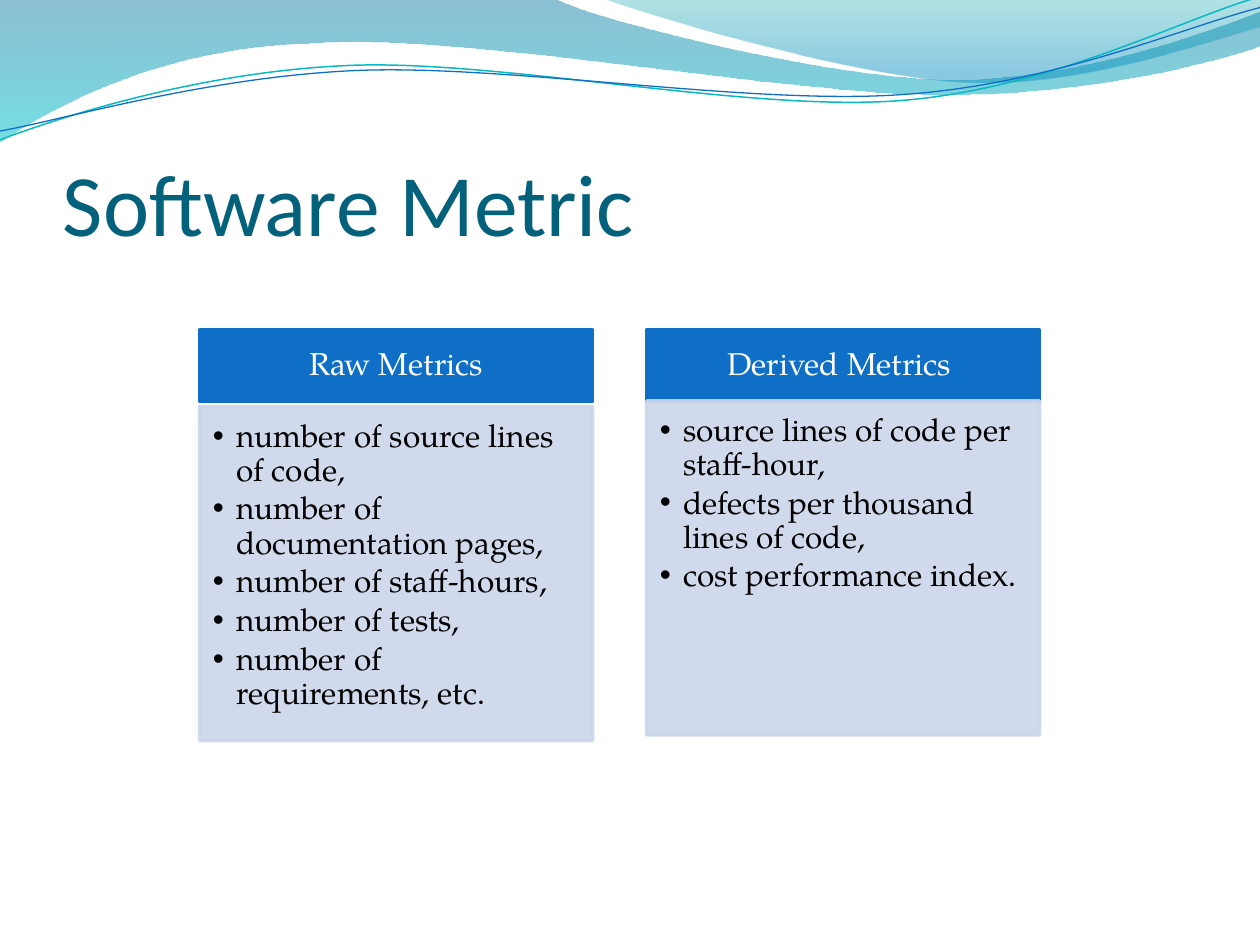
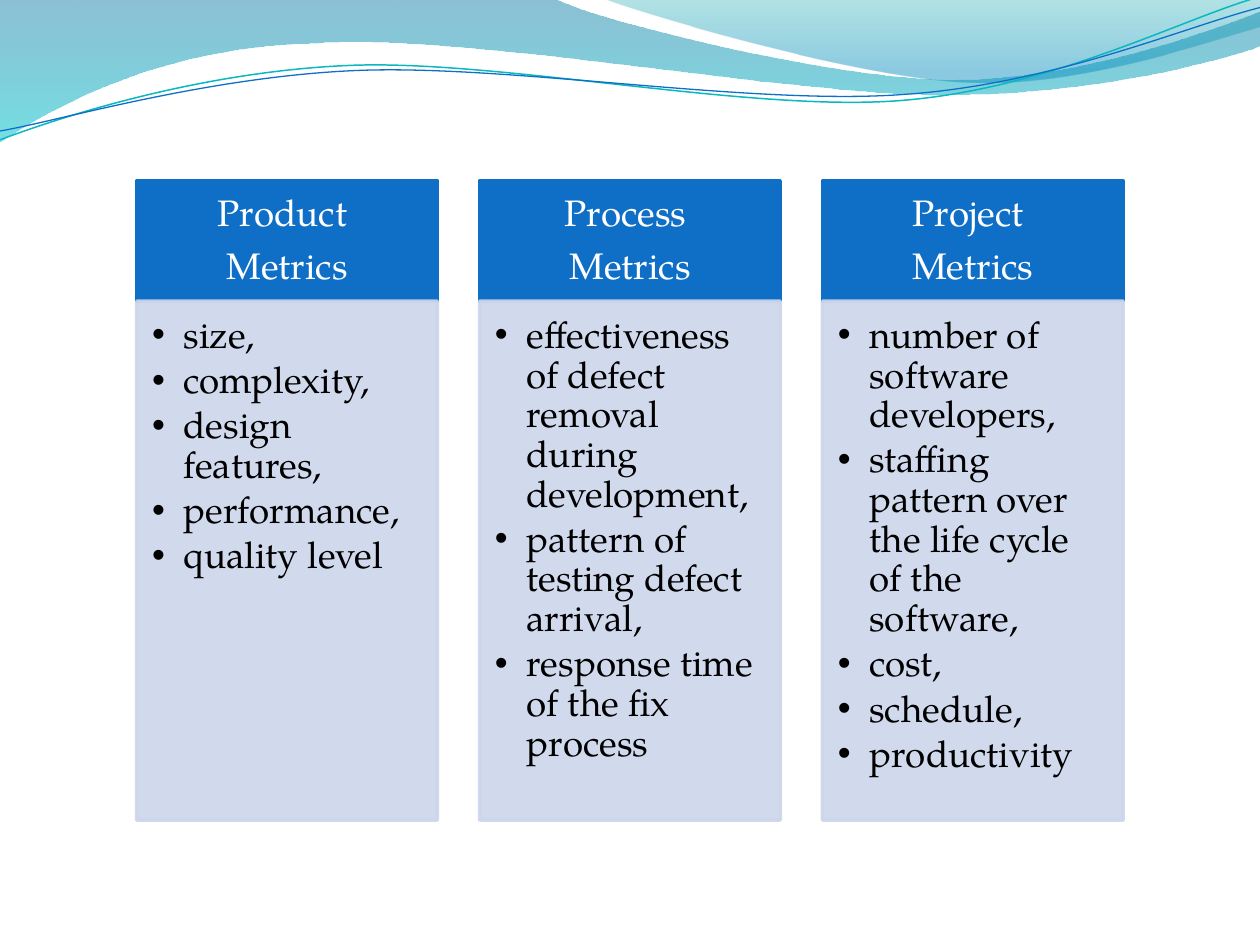
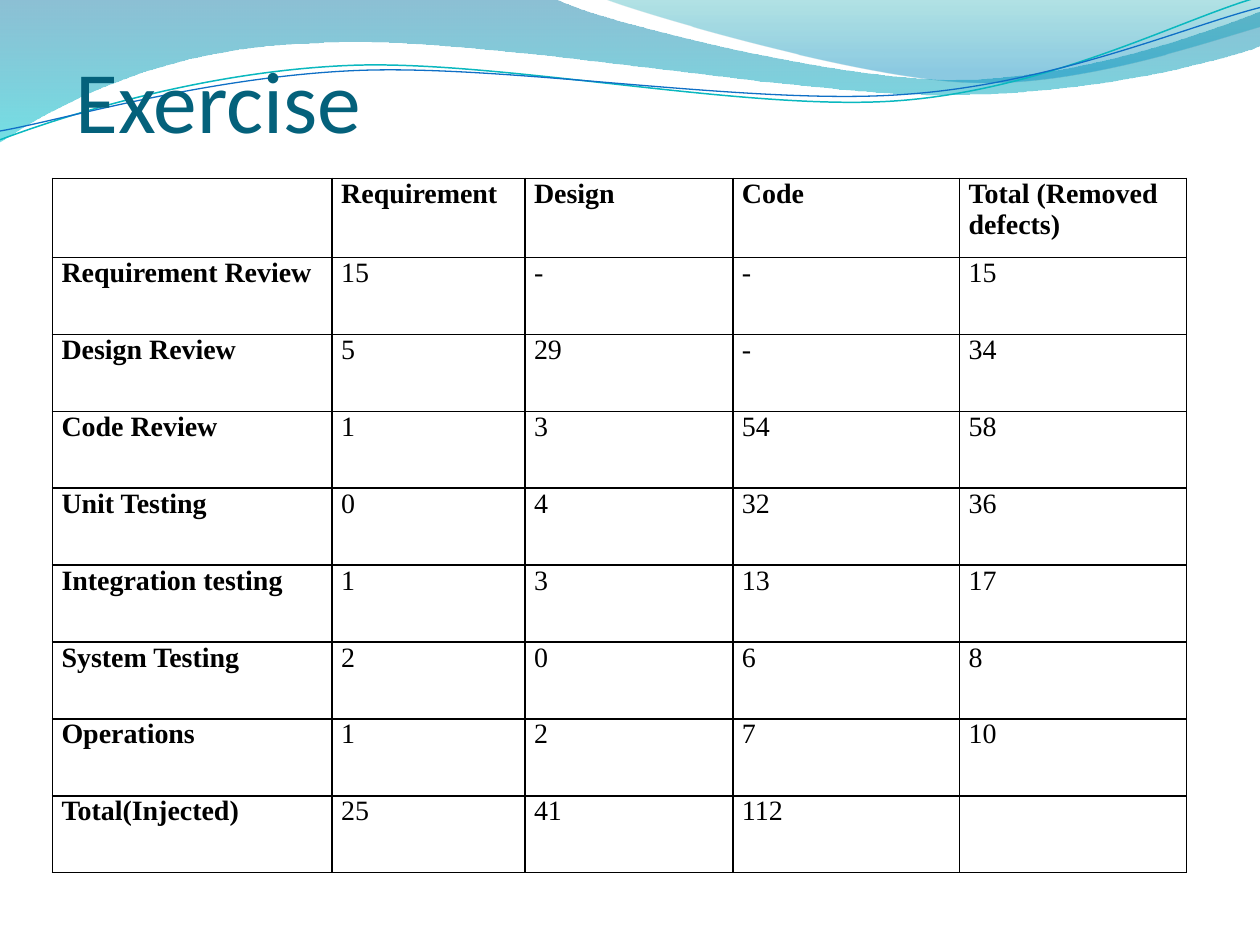
from lxml import etree
from pptx import Presentation
from pptx.dml.color import RGBColor
from pptx.enum.shapes import MSO_SHAPE
from pptx.enum.text import MSO_ANCHOR, PP_ALIGN
from pptx.oxml.ns import qn
from pptx.util import Pt

RECTANGLE = MSO_SHAPE.RECTANGLE
TOP, MIDDLE, BOTTOM = MSO_ANCHOR.TOP, MSO_ANCHOR.MIDDLE, MSO_ANCHOR.BOTTOM
LEFT, CENTER = PP_ALIGN.LEFT, PP_ALIGN.CENTER

COLORS = {
    "title": "04617B",
    "header": "0F6FC6",
    "body": "CCD5EA",
    "white": "FFFFFF",
    "black": "000000",
    "teal_line": "0AB8BF",
    "band_top": "0074A1",
    "band_bottom": "00C6CF",
    "corner_top": "00A1A9",
    "corner_bottom": "008BBF",
}
TITLE_FONT = "Calibri"
CARD_FONT = "TeX Gyre Pagella"
TABLE_FONT = "Times New Roman"
BULLET_FONT = "Arial"

BAND = [
    [(0, 0)],
    [(316.8, -0.72)],
    [(342.72, 12.24), (478.08, 45.36), (545.76, 45.36)],
    [(614.16, 45.36), (689.76, 18.72), (720, 6.48)],
    [(720.72, 25.92)],
    [(707.76, 31.68), (626.4, 54.72), (537.12, 54)],
    [(447.84, 54), (275.04, 20.16), (185.04, 24.48)],
    [(92.88, 25.92), (33.12, 59.76), (-0.72, 81.36)],
    [(0, 0)],
]
CORNER = [
    [(344.88, -0.72)],
    [(366.48, 7.92), (491.04, 44.64), (553.68, 46.8)],
    [(616.32, 49.68), (691.92, 23.04), (720, 15.12)],
    [(720, 0)],
    [(344.88, -0.72)],
]
TEAL_WAVE = [
    [(0, 79.92)],
    [(34.56, 66.96), (113.76, 41.04), (199.44, 37.44)],
    [(284.4, 33.84), (426.96, 64.08), (513.36, 57.6)],
    [(599.76, 51.12), (675.36, 10.8), (718.56, -1.44)],
]
BLUE_WAVE = [
    [(0, 74.88)],
    [(33.84, 69.12), (118.08, 43.92), (203.76, 40.32)],
    [(290.16, 36.72), (429.84, 60.48), (516.24, 54)],
    [(601.92, 48.24), (677.52, 15.12), (720, 4.32)],
]

RAW_METRICS = [
    "number of source lines of code,",
    "number of documentation pages,",
    "number of staff-hours,",
    "number of tests,",
    "number of requirements, etc.",
]
DERIVED_METRICS = [
    "source lines of code per staff-hour,",
    "defects per thousand lines of code,",
    "cost performance index.",
]
METRIC_KINDS = [
    ("Product ", ["size,", "complexity,", "design features,", "performance,", "quality level"]),
    ("Process ", [
        "effectiveness of defect removal during development,",
        "pattern of testing defect arrival,",
        "response time of the fix process",
    ]),
    ("Project ", [
        "number of software developers,",
        "staffing pattern over the life cycle of the software,",
        "cost,",
        "schedule,",
        "productivity",
    ]),
]
DEFECT_COLUMNS = [159.84, 110.16, 118.8, 129.6, 129.6]
DEFECT_ROWS = [
    ["", "Requirement", "Design", "Code", "Total (Removed defects)"],
    ["Requirement Review", "15", "-", "-", "15"],
    ["Design Review", "5", "29", "-", "34"],
    ["Code Review", "1", "3", "54", "58"],
    ["Unit Testing", "0", "4", "32", "36"],
    ["Integration testing", "1", "3", "13", "17"],
    ["System Testing", "2", "0", "6", "8"],
    ["Operations", "1", "2", "7", "10"],
    ["Total(Injected)", "25", "41", "112", ""],
]


def color(name):
    return RGBColor.from_string(COLORS[name])


def set_opacity(shape, percents):
    for element, percent in zip(shape.element.spPr.iter(qn("a:srgbClr")), percents):
        etree.SubElement(element, qn("a:alpha"), val=str(percent * 1000))


def set_insets(target, left, top, right, bottom):
    target.margin_left, target.margin_top = Pt(left), Pt(top)
    target.margin_right, target.margin_bottom = Pt(right), Pt(bottom)


def format_runs(paragraph, font_name, size, color_name, bold=False):
    for run in paragraph.runs:
        run.font.name = font_name
        run.font.size = Pt(size)
        run.font.bold = bold
        run.font.color.rgb = color(color_name)


def bend_segments(shape, segments):
    lines = iter(list(shape.element.spPr.iter(qn("a:lnTo"))))
    for segment in segments[1:]:
        segment_lines = [next(lines) for _ in segment]
        if len(segment) == 3:
            curve = etree.Element(qn("a:cubicBezTo"))
            segment_lines[0].addprevious(curve)
            for line in segment_lines:
                curve.append(line[0])
                line.getparent().remove(line)


def add_outline(slide, segments, closed):
    vertices = [(Pt(x), Pt(y)) for segment in segments for x, y in segment]
    builder = slide.shapes.build_freeform(*vertices[0], scale=1.0)
    builder.add_line_segments(vertices[1:], close=closed)
    shape = builder.convert_to_shape()
    bend_segments(shape, segments)
    shape.shadow.inherit = False
    return shape


def add_gradient_band(slide, segments, stops):
    shape = add_outline(slide, segments, True)
    shape.line.fill.background()
    shape.fill.gradient()
    shape.fill.gradient_angle = 270
    for gradient_stop, (name, position, _) in zip(shape.fill.gradient_stops, stops):
        gradient_stop.color.rgb = color(name)
        gradient_stop.position = position
    set_opacity(shape, [opacity for _, _, opacity in stops])


def add_wave_line(slide, segments, color_name, width):
    shape = add_outline(slide, segments, False)
    shape.fill.background()
    shape.line.color.rgb = color(color_name)
    shape.line.width = Pt(width)


def add_wave_slide(presentation):
    slide = presentation.slides.add_slide(presentation.slide_layouts[6])
    add_gradient_band(slide, BAND, [("band_top", 0, 45), ("band_bottom", 1, 55)])
    add_gradient_band(slide, CORNER, [("corner_top", 0, 30), ("corner_bottom", 0.8, 45)])
    add_wave_line(slide, TEAL_WAVE, "teal_line", 0.85)
    add_wave_line(slide, BLUE_WAVE, "header", 0.75)
    return slide


def add_title(slide, text, top, height, side_inset, bottom_inset):
    text_frame = slide.shapes.add_textbox(Pt(36), Pt(top), Pt(648), Pt(height)).text_frame
    text_frame.word_wrap = True
    text_frame.vertical_anchor = BOTTOM
    set_insets(text_frame, side_inset, 3.6, side_inset, bottom_inset)
    text_frame.text = text
    format_runs(text_frame.paragraphs[0], TITLE_FONT, 50, "title")


def add_panel(slide, left, top, width, height, color_name, lines, size, text_color, after):
    shape = slide.shapes.add_shape(RECTANGLE, Pt(left), Pt(top), Pt(width), Pt(height))
    shape.shadow.inherit = False
    shape.fill.solid()
    shape.fill.fore_color.rgb = color(color_name)
    shape.line.color.rgb = color(color_name)
    shape.line.width = Pt(2)
    text_frame = shape.text_frame
    text_frame.word_wrap = True
    text_frame.text = "\n".join(lines)
    for paragraph in text_frame.paragraphs:
        paragraph.line_spacing = 0.9
        paragraph.space_after = Pt(size * after)
        format_runs(paragraph, CARD_FONT, size, text_color)
    return shape


def add_header(slide, left, top, width, height, lines, size):
    shape = add_panel(slide, left, top, width, height, "header", lines, size, "white", 0.35)
    text_frame = shape.text_frame
    text_frame.vertical_anchor = MIDDLE
    set_insets(text_frame, size * 0.56, size * 0.32, size * 0.56, size * 0.32)
    for paragraph in text_frame.paragraphs:
        paragraph.alignment = CENTER


def add_bullet_panel(slide, left, top, width, height, items, size, indent):
    shape = add_panel(slide, left, top, width, height, "body", items, size, "black", 0.15)
    set_opacity(shape, [90, 90])
    text_frame = shape.text_frame
    text_frame.vertical_anchor = TOP
    set_insets(text_frame, size * 0.42, size * 0.42, size * 0.56, size * 0.63)
    for paragraph in text_frame.paragraphs:
        paragraph.level = 1
        paragraph.alignment = LEFT
        properties = paragraph._p.get_or_add_pPr()
        properties.set("marL", str(Pt(indent)))
        properties.set("indent", str(-Pt(indent)))
        etree.SubElement(properties, qn("a:buFont"), typeface=BULLET_FONT)
        etree.SubElement(properties, qn("a:buChar"), char="•")


def add_cell_borders(cell):
    properties = cell._tc.get_or_add_tcPr()
    for side in ("lnL", "lnR", "lnT", "lnB"):
        line = etree.SubElement(properties, qn(f"a:{side}"), w=str(Pt(1)))
        fill = etree.SubElement(line, qn("a:solidFill"))
        etree.SubElement(fill, qn("a:srgbClr"), val=COLORS["black"])


def add_defect_table(slide, left, top, header_height, row_height):
    height = header_height + row_height * (len(DEFECT_ROWS) - 1)
    frame = slide.shapes.add_table(
        len(DEFECT_ROWS), len(DEFECT_COLUMNS),
        Pt(left), Pt(top), Pt(sum(DEFECT_COLUMNS)), Pt(height),
    )
    table = frame.table
    table.first_row = False
    table.horz_banding = False
    for column, width in zip(table.columns, DEFECT_COLUMNS):
        column.width = Pt(width)
    for row_index, values in enumerate(DEFECT_ROWS):
        table.rows[row_index].height = Pt(row_height if row_index else header_height)
        for column_index, value in enumerate(values):
            cell = table.cell(row_index, column_index)
            cell.text = value
            set_insets(cell, 5.2, 0, 5.2, 0)
            add_cell_borders(cell)
            cell.fill.background()
            bold = row_index == 0 or column_index == 0
            format_runs(cell.text_frame.paragraphs[0], TABLE_FONT, 16, "black", bold)


def main():
    presentation = Presentation()
    presentation.slide_width, presentation.slide_height = Pt(720), Pt(540)

    slide = add_wave_slide(presentation)
    add_title(slide, "Software Metric", 55, 90, 0, 0)
    cards = [
        ("Raw Metrics", RAW_METRICS, 232.4),
        ("Derived Metrics ", DERIVED_METRICS, 229.1),
    ]
    for index, (heading, items, body_top) in enumerate(cards):
        left = 114 + index * 255.5
        add_header(slide, left, 188.6, 224.6, 40.7, [heading], 18)
        add_bullet_panel(slide, left, body_top, 224.6, 190.8, items, 18, 13.5)

    slide = add_wave_slide(presentation)
    for index, (kind, items) in enumerate(METRIC_KINDS):
        left = 78.1 + index * 195.95
        add_header(slide, left, 103.4, 171.9, 68.7, [kind, "Metrics"], 21)
        add_bullet_panel(slide, left, 172.1, 171.9, 296.6, items, 21, 18)

    slide = add_wave_slide(presentation)
    add_title(slide, "Exercise", 12.24, 77.76, 7.2, 3.6)
    add_defect_table(slide, 30, 102, 45.2, 43.95)

    presentation.save("out.pptx")


if __name__ == "__main__":
    main()
